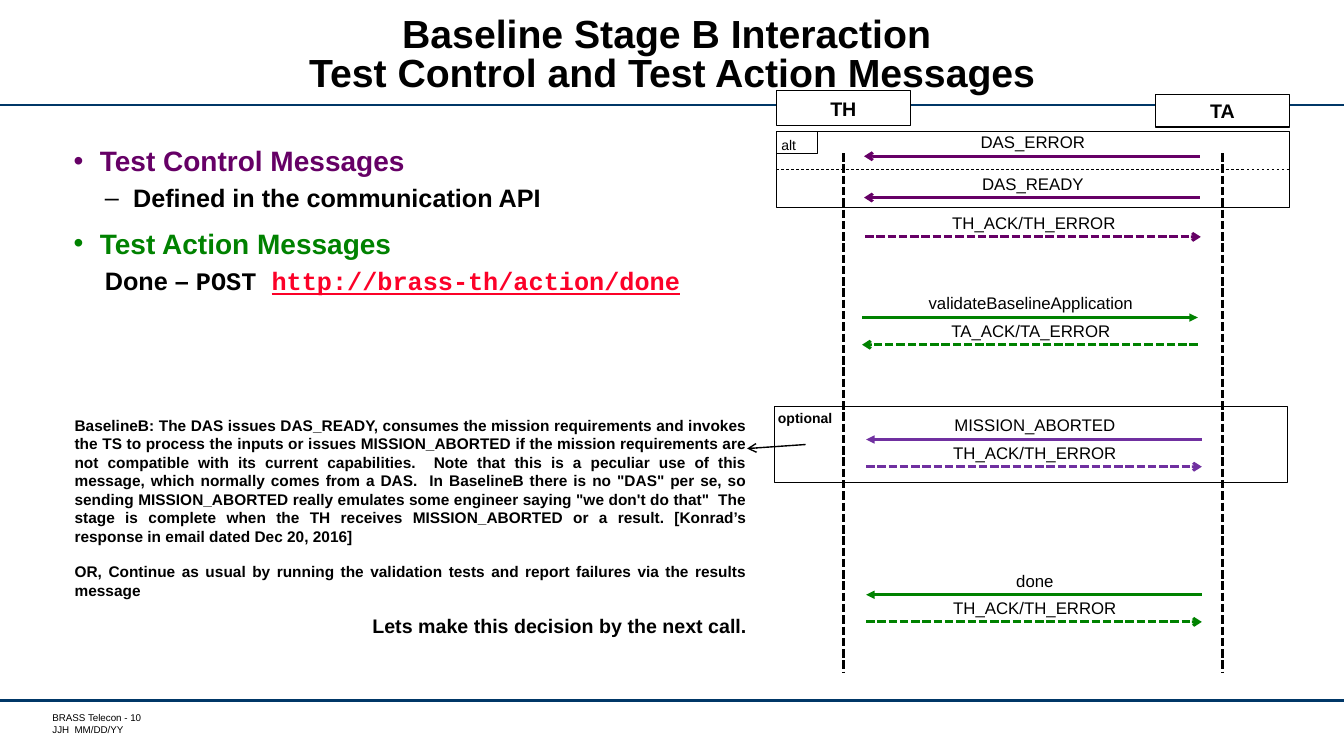
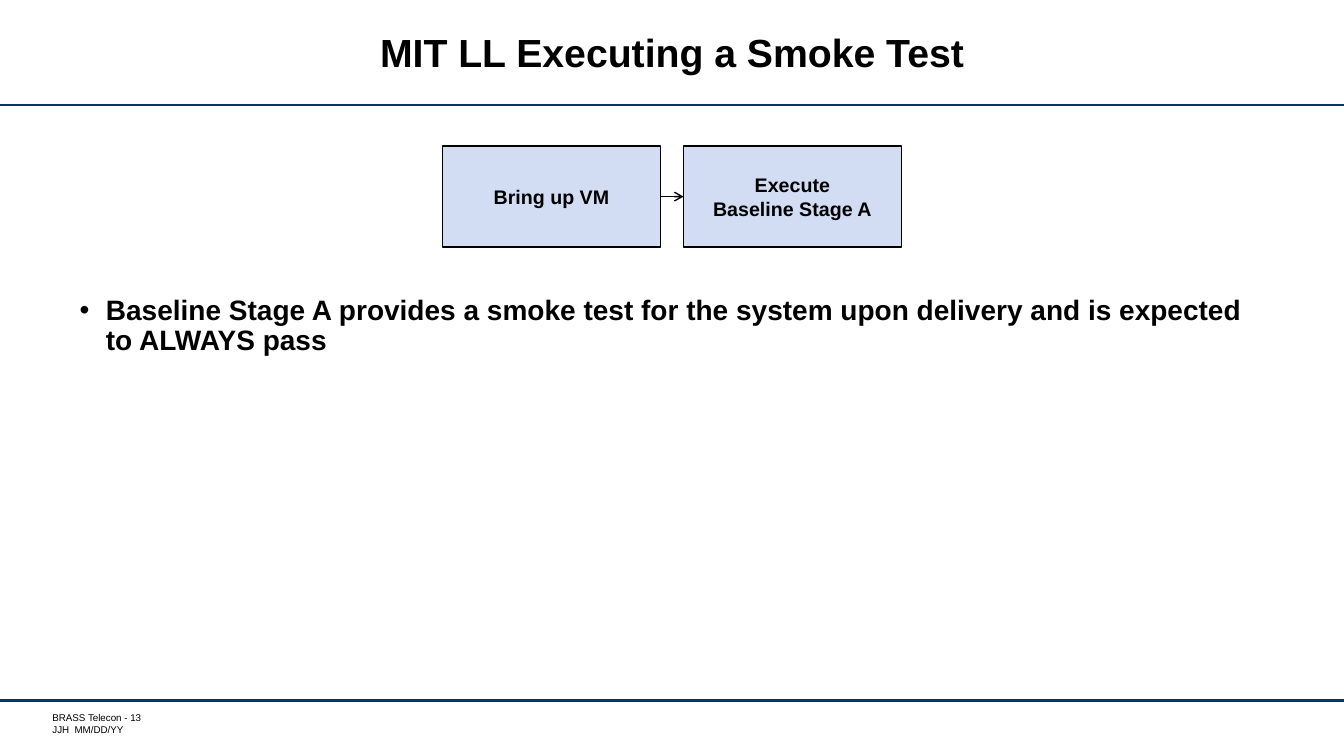
from collections import namedtuple
from dataclasses import dataclass

from lxml import etree
from pptx import Presentation
from pptx.dml.color import RGBColor
from pptx.enum.dml import MSO_LINE
from pptx.enum.shapes import MSO_CONNECTOR, MSO_SHAPE
from pptx.enum.text import MSO_ANCHOR, MSO_AUTO_SIZE, PP_ALIGN
from pptx.oxml.ns import qn
from pptx.util import Inches, Pt

STRAIGHT, RECT = MSO_CONNECTOR.STRAIGHT, MSO_SHAPE.RECTANGLE
SHORT_DASH, DASH = MSO_LINE.SQUARE_DOT, MSO_LINE.DASH
TOP, MIDDLE = MSO_ANCHOR.TOP, MSO_ANCHOR.MIDDLE
LEFT, CENTER, RIGHT, JUSTIFY = PP_ALIGN.LEFT, PP_ALIGN.CENTER, PP_ALIGN.RIGHT, PP_ALIGN.JUSTIFY


@dataclass(frozen=True)
class Theme:
    font: str = "Arial"
    code_font: str = "Courier New"
    black: str = "000000"
    white: str = "FFFFFF"
    rule: str = "003767"
    control: str = "660066"
    action: str = "008200"
    aborted: str = "7030A0"
    link: str = "FC0128"
    step: str = "D2DCF2"
    title_size: int = 28
    heading_size: int = 20
    detail_size: int = 18
    box_size: int = 14
    message_size: int = 12
    note_size: int = 11
    tag_size: int = 10
    footer_size: int = 7


THEME = Theme()
Box = namedtuple("Box", "left top width height")
SLIDE = Box(0, 0, 13.33, 7.5)
TITLE = Box(1.37, 0.11, 10.59, 0.89)
INSETS = (0.1, 0.05, 0.1, 0.05)

# label, height below the diagram's top, indent, colour, direction, reply, head
Message = namedtuple("Message", "label y indent color leftward reply head")
MESSAGES = [
    Message("DAS_ERROR", 0.65, 0.87, THEME.control, True, False, "arrow"),
    Message("DAS_READY", 1.06, 0.87, THEME.control, True, False, "arrow"),
    Message("TH_ACK/TH_ERROR", 1.45, 0.88, THEME.control, False, True, "arrow"),
    Message("validateBaselineApplication", 2.25, 0.85, THEME.action, False, False, "triangle"),
    Message("TA_ACK/TA_ERROR", 2.52, 0.85, THEME.action, True, True, "arrow"),
    Message("MISSION_ABORTED", 3.46, 0.89, THEME.aborted, True, False, "triangle"),
    Message("TH_ACK/TH_ERROR", 3.73, 0.89, THEME.aborted, False, True, "arrow"),
    Message("done", 5.0, 0.89, THEME.action, True, False, "triangle"),
    Message("TH_ACK/TH_ERROR", 5.27, 0.89, THEME.action, False, True, "arrow"),
]


def rgb(color):
    return RGBColor.from_string(color)


def inches(box):
    return [Inches(length) for length in box]


def place(target, box):
    target.left, target.top, target.width, target.height = inches(box)


def add_run(paragraph, text, size, color=THEME.black, bold=False,
            font=THEME.font, underline=False):
    run = paragraph.add_run()
    run.text = text
    run.font.name, run.font.size = font, Pt(size)
    run.font.bold, run.font.underline = bold, underline
    run.font.color.rgb = rgb(color)


def setup_frame(frame, anchor=TOP, insets=INSETS, wrap=True):
    frame.word_wrap = wrap
    frame.auto_size = MSO_AUTO_SIZE.NONE
    frame.vertical_anchor = anchor
    (frame.margin_left, frame.margin_top,
     frame.margin_right, frame.margin_bottom) = inches(insets)


def fill_lines(frame, lines, size, align=CENTER, bold=False):
    """Write each line as a paragraph of its own."""
    for index, line in enumerate(lines):
        paragraph = frame.add_paragraph() if index else frame.paragraphs[0]
        paragraph.alignment = align
        add_run(paragraph, line, size, bold=bold)


def add_label(slide, box, lines, size, align=CENTER, bold=False,
              insets=INSETS, wrap=True):
    frame = slide.shapes.add_textbox(*inches(box)).text_frame
    setup_frame(frame, insets=insets, wrap=wrap)
    fill_lines(frame, lines, size, align, bold)


def add_rect(slide, box, line_width, fill=None):
    rect = slide.shapes.add_shape(RECT, *inches(box))
    rect.shadow.inherit = False
    if fill:
        rect.fill.solid()
        rect.fill.fore_color.rgb = rgb(fill)
    else:
        rect.fill.background()
    rect.line.color.rgb = rgb(THEME.black)
    rect.line.width = Pt(line_width)
    return rect


def add_box(slide, box, lines, line_width, fill):
    """Draw a filled box with bold centred text."""
    rect = add_rect(slide, box, line_width, fill)
    setup_frame(rect.text_frame, MIDDLE)
    fill_lines(rect.text_frame, lines, THEME.box_size, bold=True)


def add_line(slide, start, end, width, color=THEME.black, dash=None, head=None):
    line = slide.shapes.add_connector(STRAIGHT, *inches((*start, *end)))
    line.line.color.rgb = rgb(color)
    line.line.width = Pt(width)
    if dash:
        line.line.dash_style = dash
    properties = line._element.spPr
    if head:
        etree.SubElement(properties.find(qn("a:ln")), qn("a:tailEnd"), type=head)
    etree.SubElement(properties, qn("a:effectLst"))
    return line


def add_item(frame, runs, bullet=None, level=0, margin=0.01, hanging=0,
             before=0, spacing=0.9, align=LEFT):
    """Add a body paragraph; runs is a list of add_run keyword sets."""
    first = frame.paragraphs[0]
    paragraph = frame.add_paragraph() if first.runs else first
    paragraph.level = level
    properties = paragraph._p.get_or_add_pPr()
    properties.set("marL", str(Inches(margin)))
    properties.set("indent", str(-Inches(hanging)))
    if bullet:
        etree.SubElement(properties, qn("a:buFont"), typeface=THEME.font)
        etree.SubElement(properties, qn("a:buChar"), char=bullet)
    else:
        etree.SubElement(properties, qn("a:buNone"))
    paragraph.alignment = align
    paragraph.line_spacing = spacing
    paragraph.space_before = Pt(before)
    for run in runs:
        add_run(paragraph, bold=True, **run)


def add_heading(frame, text, color=THEME.black, before=0):
    add_item(frame, [dict(text=text, size=THEME.heading_size, color=color)],
             "•", margin=0.26, hanging=0.26, before=before)


def add_rules(slide):
    """Put the two horizontal rules on the layout of the slide."""
    tree = slide.slide_layout.shapes._spTree
    for y in (1.04, 6.95):
        rule = add_line(slide, (0, y), (SLIDE.width, y), 1.75, THEME.rule)
        tree.append(rule._element)


def add_footer(slide, number):
    add_label(slide, Box(0.47, 7.06, 1.59, 0.24),
              [f"BRASS Telecon - {number}", "JJH  MM/DD/YY"],
              THEME.footer_size, LEFT, insets=(0.05, 0, 0, 0))


def start_slide(deck, number, title_lines, body_box):
    """Add a slide with title and footer; return it with its body frame."""
    slide = deck.slides.add_slide(deck.slide_layouts[1])
    title, body = slide.placeholders
    place(title, TITLE)
    setup_frame(title.text_frame, MIDDLE)
    paragraph = title.text_frame.paragraphs[0]
    paragraph.alignment = CENTER
    paragraph.line_spacing = Pt(THEME.title_size)
    for index, line in enumerate(title_lines):
        if index:
            paragraph.add_line_break()
        add_run(paragraph, line, THEME.title_size, bold=True)
    place(body, body_box)
    setup_frame(body.text_frame)
    add_footer(slide, number)
    return slide, body.text_frame


def fill_message_notes(frame):
    detail = THEME.detail_size
    add_heading(frame, "Test Control Messages", THEME.control)
    add_item(frame, [dict(text="Defined in the communication API", size=detail)],
             "–", level=1, margin=0.59, hanging=0.28, before=6)
    add_heading(frame, "Test Action Messages", THEME.action, before=12)
    add_item(frame, [
        dict(text="Done – ", size=detail),
        dict(text="POST ", size=detail, font=THEME.code_font),
        dict(text="http://brass-th/action/done", size=detail,
             font=THEME.code_font, color=THEME.link, underline=True),
    ], level=1, margin=0.31, before=6)
    notes = [
        ("BaselineB: The DAS issues DAS_READY, consumes the mission requirements and "
         "invokes the TS to process the inputs or issues MISSION_ABORTED if the mission "
         "requirements are not compatible with its current capabilities.  Note that this "
         "is a peculiar use of this message, which normally comes from a DAS.  In BaselineB "
         "there is no \"DAS\" per se, so sending MISSION_ABORTED really emulates some "
         "engineer saying \"we don't do that\"  The stage is complete when the TH receives "
         "MISSION_ABORTED or a result. [Konrad’s response in email dated Dec 20, 2016]", 86),
        ("OR, Continue as usual by running the validation tests and report failures "
         "via the results message", 12),
    ]
    for text, before in notes:
        add_item(frame, [dict(text=text, size=THEME.note_size)],
                 before=before, spacing=1.0, align=JUSTIFY)
    add_item(frame, [dict(text="Lets make this decision by the next call.",
                          size=THEME.box_size)], before=12, align=RIGHT)


def add_message(slide, diagram, message):
    span = 3.33
    left, y = diagram.left + message.indent, diagram.top + message.y
    ends = [(left, y), (left + span, y)]
    if message.leftward:
        ends.reverse()
    add_line(slide, *ends, 2, message.color,
             SHORT_DASH if message.reply else None, message.head)
    add_label(slide, Box(left + 0.01, y - 0.29, span, 0.3),
              [message.label], THEME.message_size)


def add_alt_frame(slide, box):
    """Frame two alternatives, parted by a dashed line."""
    add_rect(slide, box, 0.5)
    middle = box.top + box.height / 2
    add_line(slide, (box.left, middle), (box.left + box.width, middle), 0.5, dash=DASH)
    tag = add_rect(slide, Box(box.left, box.top, 0.41, 0.22), 0.5)
    setup_frame(tag.text_frame, insets=(0.05, 0.05, 0, 0))
    fill_lines(tag.text_frame, ["alt"], THEME.tag_size, LEFT)


def add_optional_frame(slide, box):
    """Frame an optional exchange, with an arrow to the note on its left."""
    add_rect(slide, box, 0.5)
    add_label(slide, Box(box.left - 0.07, box.top - 0.02, 0.75, 0.27), ["optional"],
              THEME.tag_size, bold=True, wrap=False)
    add_line(slide, (box.left + 0.31, box.top + 0.38),
             (box.left - 0.27, box.top + 0.42), 1, head="arrow")


def add_sequence_diagram(slide, box):
    left, top, width, height = box
    party_width = 1.33
    parties = [("TH", left, 0, 0.35), ("TA", left + width - party_width, 0.04, 0.32)]
    for name, party_left, drop, party_height in parties:
        center = party_left + party_width / 2
        add_line(slide, (center, top + 0.62), (center, top + height), 2, dash=SHORT_DASH)
        add_box(slide, Box(party_left, top + drop, party_width, party_height),
                [name], 0.75, THEME.white)
    add_alt_frame(slide, Box(left, top + 0.4, width, 0.76))
    add_optional_frame(slide, Box(left - 0.02, top + 3.13, width, 0.76))
    for message in MESSAGES:
        add_message(slide, box, message)


def add_step_flow(slide, box, steps):
    """Spread the steps evenly over the box and join them with arrows."""
    gap = 0.23
    width = (box.width - gap * (len(steps) - 1)) / len(steps)
    middle = box.top + box.height / 2
    for index, lines in enumerate(steps):
        left = box.left + index * (width + gap)
        add_box(slide, Box(left, box.top, width, box.height), lines, 1, THEME.step)
        if index:
            add_line(slide, (left - gap, middle), (left, middle), 1, head="arrow")


def build_messages_slide(deck):
    slide, body = start_slide(
        deck, 10, ["Baseline Stage B Interaction ", "Test Control and Test Action Messages"],
        Box(0.63, 1.41, 6.88, 5.09))
    add_rules(slide)
    fill_message_notes(body)
    add_sequence_diagram(slide, Box(7.7, 0.9, 5.09, 5.77))


def build_smoke_test_slide(deck):
    slide, body = start_slide(deck, 13, ["MIT LL Executing a Smoke Test"],
                              Box(0.69, 2.89, 11.94, 3.81))
    add_heading(body, "Baseline Stage A provides a smoke test for the system upon "
                      "delivery and is expected to ALWAYS pass")
    add_step_flow(slide, Box(4.39, 1.45, 4.55, 1),
                  [["Bring up VM"], ["Execute", "Baseline Stage A"]])


def main():
    deck = Presentation()
    deck.slide_width, deck.slide_height = Inches(SLIDE.width), Inches(SLIDE.height)
    build_messages_slide(deck)
    build_smoke_test_slide(deck)
    deck.save("out.pptx")


if __name__ == "__main__":
    main()
